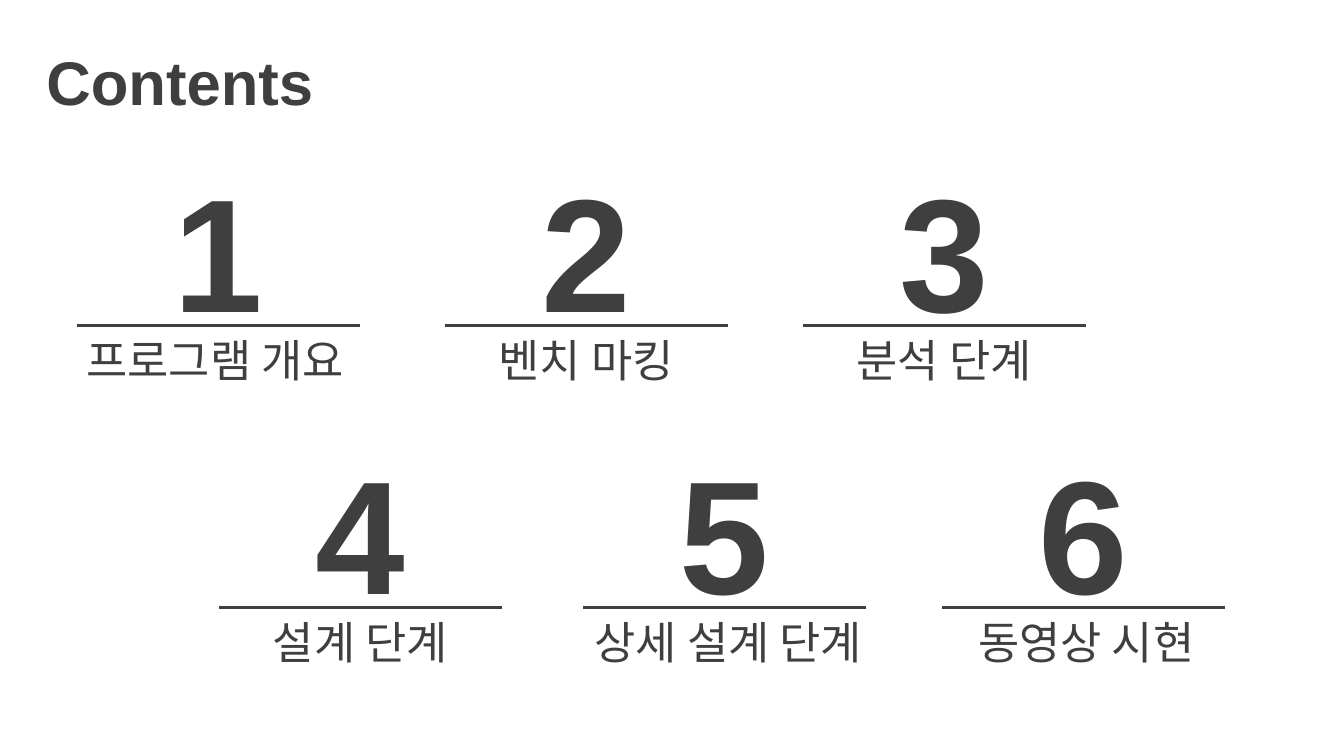
import pptx
import pptx.dml.color
import pptx.enum.shapes
import pptx.enum.text
import pptx.oxml
import pptx.util
from dataclasses import dataclass

LEFT = pptx.enum.text.PP_ALIGN.LEFT
CENTER = pptx.enum.text.PP_ALIGN.CENTER
TITLE = "Contents"
ROWS = [
    (1.45, [
        ("1", "프로그램 개요", 0.76, 0, 3.02, LEFT),
        ("2", "벤치 마킹", 4.41, 0, 2.81, CENTER),
        ("3", "분석 단계", 7.96, 0, 2.81, CENTER),
    ]),
    (4.25, [
        ("4", "설계 단계", 2.17, 0, 2.81, CENTER),
        ("5", "상세 설계 단계", 5.78, -0.16, 3.21, CENTER),
        ("6", "동영상 시현", 9.34, -0.17, 3.21, CENTER),
    ]),
]


@dataclass(frozen=True)
class Theme:
    font: str = "Arial"
    ink: str = "3F3F3F"
    title_size: float = 44
    number_size: float = 115
    label_size: float = 32
    rule_weight: float = 2.25


THEME = Theme()
RULE_WIDTH = 2.81
RULE_DROP = 1.78
NUMBER_INDENT = 0.86
NUMBER_WIDTH, NUMBER_HEIGHT = 1.1, 2.04
LABEL_DROP, LABEL_HEIGHT = 1.8, 0.64


def inches(*lengths):
    return [pptx.util.Inches(length) for length in lengths]


def write(box, text, size, bold=False, align=LEFT, wrap=False):
    frame = box.text_frame
    frame.word_wrap = wrap
    frame.auto_size = pptx.enum.text.MSO_AUTO_SIZE.SHAPE_TO_FIT_TEXT
    frame.vertical_anchor = pptx.enum.text.MSO_ANCHOR.TOP
    para = frame.paragraphs[0]
    para.alignment = align
    span = para.add_run()
    span.text = text
    span.font.name = THEME.font
    span.font.size = pptx.util.Pt(size)
    span.font.bold = bold
    span.font.color.rgb = pptx.dml.color.RGBColor.from_string(THEME.ink)


def add_rule(shapes, left, top):
    rule = shapes.add_connector(
        pptx.enum.shapes.MSO_CONNECTOR.STRAIGHT,
        *inches(left, top, left + RULE_WIDTH, top))
    rule.line.color.rgb = pptx.dml.color.RGBColor.from_string(THEME.ink)
    rule.line.width = pptx.util.Pt(THEME.rule_weight)
    properties = rule._element.spPr
    properties.append(pptx.oxml.parse_xml(
        '<a:effectLst xmlns:a="http://schemas.openxmlformats.org/drawingml/2006/main"/>'))


def add_chapter(page, top, number, label, left, shift, width, align):
    shapes = page.shapes.add_group_shape().shapes
    number_box = shapes.add_textbox(
        *inches(left + NUMBER_INDENT, top, NUMBER_WIDTH, NUMBER_HEIGHT))
    write(number_box, number, THEME.number_size, bold=True)
    add_rule(shapes, left, top + RULE_DROP)
    label_box = shapes.add_textbox(
        *inches(left + shift, top + LABEL_DROP, width, LABEL_HEIGHT))
    write(label_box, label, THEME.label_size, align=align, wrap=align == CENTER)


def main():
    deck = pptx.Presentation()
    deck.slide_width, deck.slide_height = inches(13.33, 7.5)
    page = deck.slides.add_slide(deck.slide_layouts.get_by_name("Title Only"))
    title = page.shapes.title
    title.left, title.top, title.width, title.height = inches(0.36, 0.39, 2.88, 0.84)
    write(title, TITLE, THEME.title_size, bold=True)
    for top, chapters in ROWS:
        for chapter in chapters:
            add_chapter(page, top, *chapter)
    deck.save("out.pptx")


if __name__ == "__main__":
    main()
